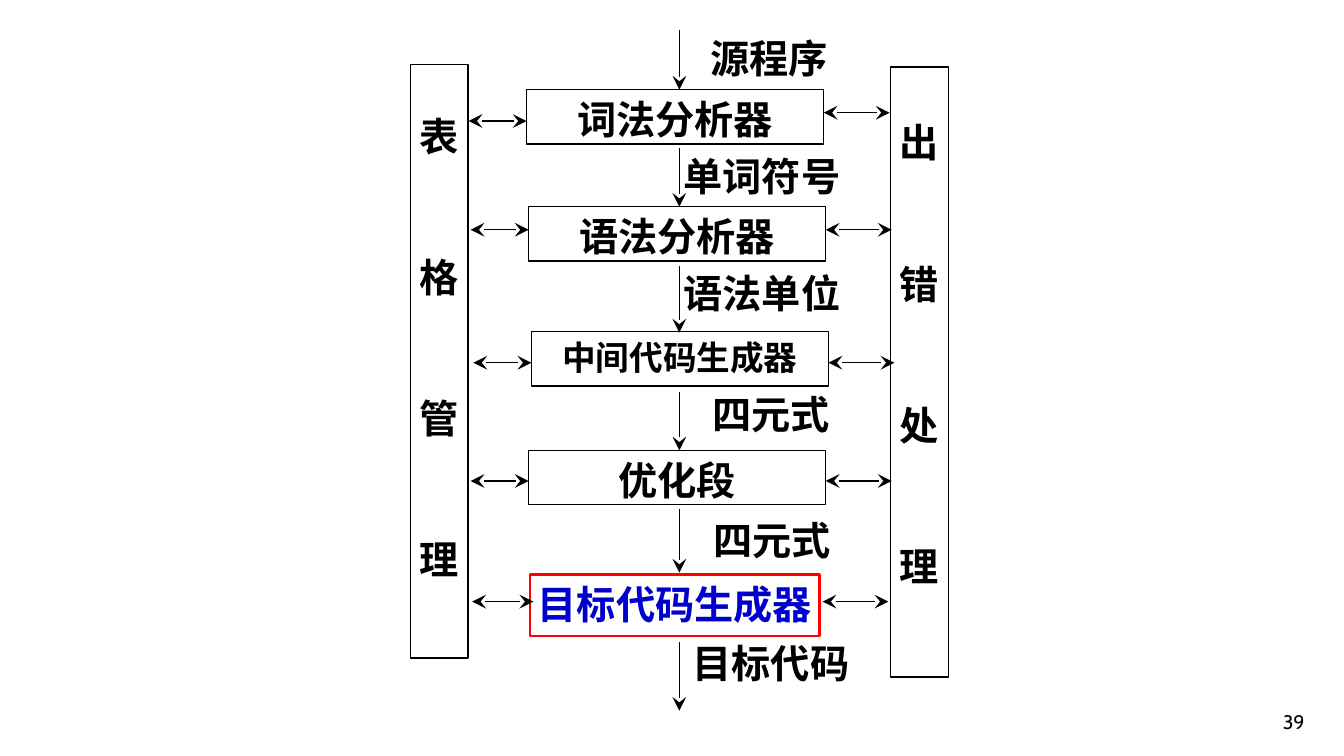
import dataclasses
import pptx
import pptx.dml.color
import pptx.enum.shapes
import pptx.enum.text
import pptx.oxml
import pptx.oxml.ns
import pptx.util

Cm = pptx.util.Cm
Pt = pptx.util.Pt
Anchor = pptx.enum.text.MSO_ANCHOR
Align = pptx.enum.text.PP_ALIGN


@dataclasses.dataclass(frozen=True)
class Theme:
    ink: str = "000000"
    blue: str = "0000CC"
    red: str = "FF0000"
    latin: str = "Cabin"
    cjk: str = "Noto Sans CJK SC"
    big: int = 28
    mid: int = 24
    small: int = 14
    thin: float = 1
    thick: float = 1.75


THEME = Theme()
AXIS = 17.12
SIZE = (7.49, 1.37)
INSET = 0.14
LABEL = (4.2, 0.96)
STAGES = [
    ("词法分析器", 13.27, 2.26, 3.05, 2.84, {}),
    ("语法分析器", 13.32, 5.21, 5.79, 5.79, {}),
    ("中间代码生成器", 13.39, 8.36, 9.14, 9.14, {"font": THEME.cjk, "size": THEME.mid}),
    ("优化段", 13.32, 11.35, 12.12, 12.12, {"font": THEME.cjk}),
]
FLOWS = [
    ("源程序", 0.76, 2.26, 19.38, 1.47),
    ("单词符号", 3.73, 5.21, 19.2, 4.42),
    ("语法单位", 6.71, 8.38, 19.2, 7.39),
    ("四元式", 9.88, 11.35, 19.43, 10.44),
    ("四元式", 12.83, 14.43, 19.46, 13.6),
    ("目标代码", 16.18, 17.91, 19.43, 16.71),
]
SIDES = [
    ("表格管理", 10.34, 1.62, 14.96, 1.2),
    ("出错处理", 22.44, 1.69, 15.37, 1.3),
]


def rgb(code):
    return pptx.dml.color.RGBColor.from_string(code)


def write(shape, text, font=THEME.latin, size=THEME.big, color=THEME.ink,
          bold=True, align=Align.CENTER, gap=0):
    frame = shape.text_frame
    frame.text = text
    for index, para in enumerate(frame.paragraphs):
        para.alignment = align
        if index:
            para.space_before = Pt(gap)
        for run in para.runs:
            run.font.name = font
            run.font.size = Pt(size)
            run.font.bold = bold
            run.font.color.rgb = rgb(color)
            east = pptx.oxml.parse_xml(
                f'<a:ea {pptx.oxml.ns.nsdecls("a")} typeface="{font}"/>')
            run.font._element.find(pptx.oxml.ns.qn("a:latin")).addnext(east)


def add_box(slide, left, top, width, height, inset, line=THEME.ink, weight=THEME.thin):
    box = slide.shapes.add_shape(
        pptx.enum.shapes.MSO_SHAPE.RECTANGLE, Cm(left), Cm(top), Cm(width), Cm(height))
    box.shadow.inherit = False
    box.fill.background()
    box.line.color.rgb = rgb(line)
    box.line.width = Pt(weight)
    frame = box.text_frame
    frame.word_wrap = True
    frame.vertical_anchor = Anchor.TOP
    frame.margin_left = frame.margin_right = frame.margin_bottom = 0
    frame.margin_top = Cm(inset)
    return box


def add_stage(slide, text, left, top, size, style, **edge):
    box = add_box(slide, left, top, *size, INSET, **edge)
    write(box, text, **style)


def add_side(slide, text, left, top, height, inset):
    box = add_box(slide, left, top, 1.46, height, inset)
    write(box, "\n".join(text), gap=67.3)


def add_text(slide, text, left, top, width, height, anchor):
    box = slide.shapes.add_textbox(Cm(left), Cm(top), Cm(width), Cm(height))
    box.text_frame.word_wrap = True
    box.text_frame.vertical_anchor = anchor
    return box


def add_label(slide, text, mid, row):
    width, height = LABEL
    box = add_text(slide, text, mid - width / 2, row - height / 2,
                   width, height, Anchor.MIDDLE)
    frame = box.text_frame
    frame.word_wrap = False
    frame.margin_left = frame.margin_right = 0
    write(box, text)


def add_arrow(slide, start, end, both=False):
    line = slide.shapes.add_connector(
        pptx.enum.shapes.MSO_CONNECTOR.STRAIGHT, *map(Cm, start + end))
    line.line.color.rgb = rgb(THEME.ink)
    line.line.width = Pt(THEME.thin)
    space = pptx.oxml.ns.nsdecls("a")
    stroke = line.line._get_or_add_ln()
    for tag in ("headEnd", "tailEnd") if both else ("tailEnd",):
        stroke.append(pptx.oxml.parse_xml(
            f'<a:{tag} {space} type="stealth" w="lg" len="lg"/>'))
    stroke.addnext(pptx.oxml.parse_xml(f"<a:effectLst {space}/>"))


def add_links(slide, left, right, near, far, nudge=0):
    left, right = left + nudge, right + nudge
    add_arrow(slide, (left, near), (left - 1.46 - nudge, near), both=True)
    add_arrow(slide, (right, far), (right + 1.66, far), both=True)


def main():
    deck = pptx.Presentation()
    deck.slide_width, deck.slide_height = Cm(33.87), Cm(19.05)
    slide = deck.slides.add_slide(deck.slide_layouts[6])
    for text, left, top, near, far, style in STAGES:
        add_stage(slide, text, left, top, SIZE, style)
        add_links(slide, left, left + SIZE[0], near, far)
    add_stage(slide, "目标代码生成器", 13.36, 14.48, (7.29, 1.55),
              {"font": THEME.cjk, "color": THEME.blue},
              line=THEME.red, weight=THEME.thick)
    add_links(slide, 13.36, 20.65, 15.16, 15.16, nudge=0.08)
    for text, top, end, mid, row in FLOWS:
        add_arrow(slide, (AXIS, top), (AXIS, end))
        add_label(slide, text, mid, row)
    for side in SIDES:
        add_side(slide, *side)
    page = add_text(slide, "39", 26.07, 17.34, 7.06, 1.27, Anchor.BOTTOM)
    write(page, "39", size=THEME.small, bold=False, align=Align.RIGHT)
    deck.save("out.pptx")


if __name__ == "__main__":
    main()
